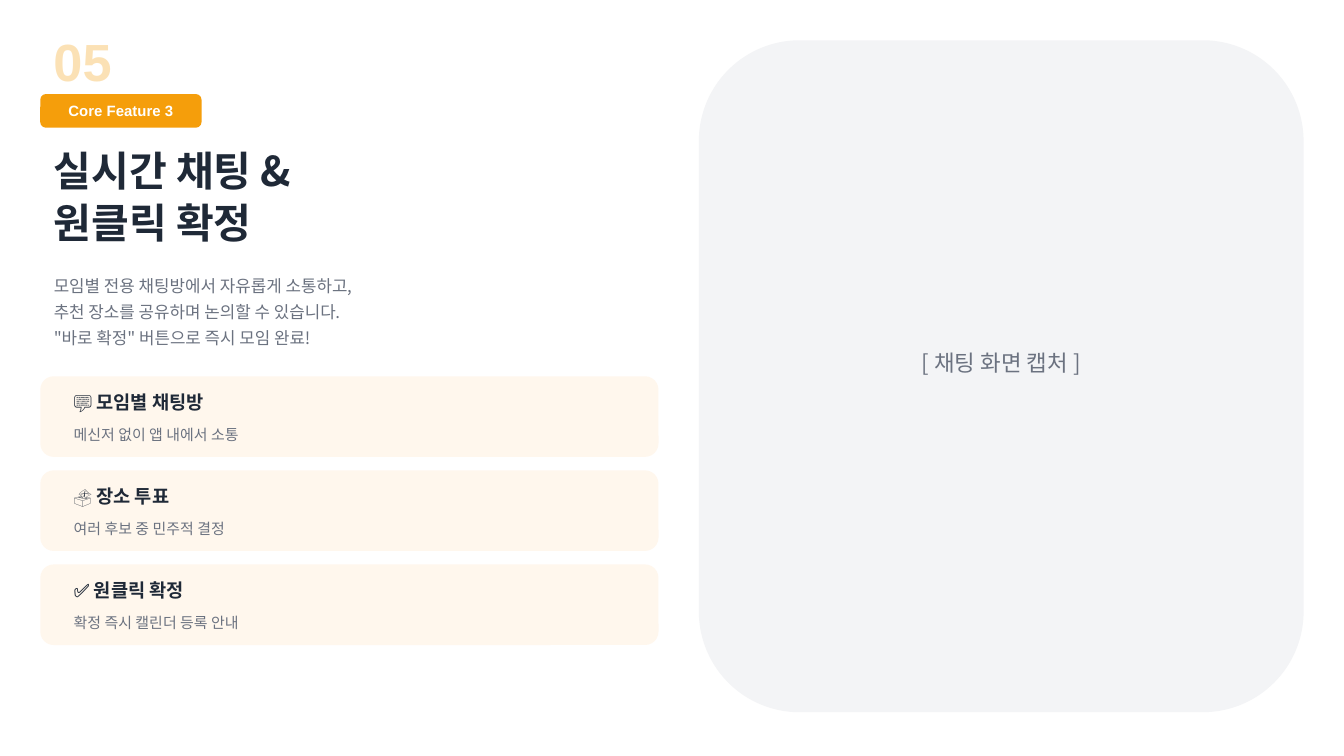
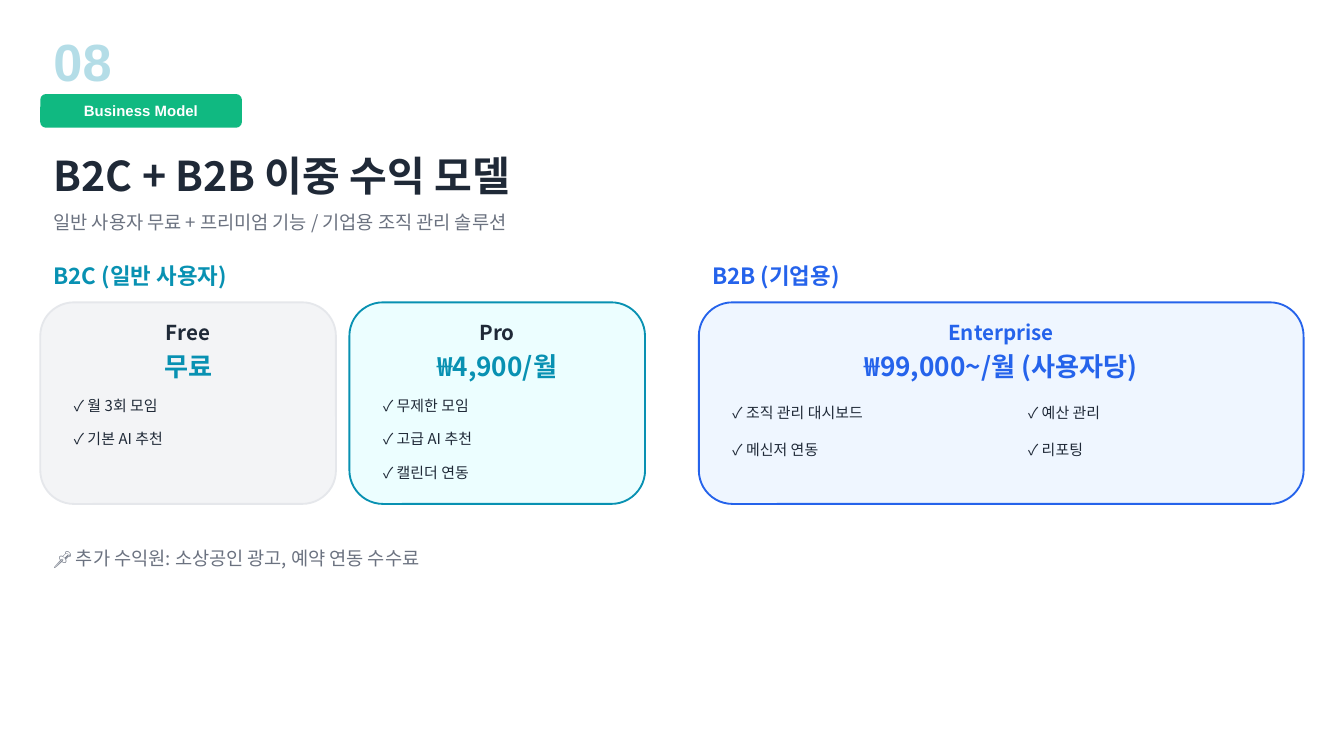
from lxml.etree import SubElement
from pptx import Presentation
from pptx.dml.color import RGBColor
from pptx.enum.shapes import MSO_SHAPE as Form
from pptx.enum.text import MSO_ANCHOR as Anchor, MSO_AUTO_SIZE as Fit, PP_ALIGN as Align
from pptx.oxml.ns import qn
from pptx.util import Inches, Pt

SANS, LATIN = "Noto Sans CJK KR", "Arial"
INK, GREY, WHITE = "1F2937", "6B7280", "FFFFFF"
AMBER, GREEN, TEAL, BLUE = "F59E0B", "10B981", "0891B2", "2563EB"
CREAM, MIST, EDGE, AQUA, SKY = "FFF7ED", "F3F4F6", "E5E7EB", "ECFEFF", "EFF6FF"
LEFT, RIGHT, WIDE = 0.3, 5.2, 4.5
PAD = 0.15


def paint(target, color, alpha=None):
    """Give a fill or a font colour a hex value, with alpha in percent."""
    if hasattr(target, "solid"):
        target.solid()
        target = target.fore_color
    target.rgb = RGBColor.from_string(color)
    if alpha:
        for node in target._xFill.iter(qn("a:srgbClr")):
            SubElement(node, qn("a:alpha"), val=str(alpha * 1000))


def write(box, text, size=10, color=INK, bold=False, font=SANS, align=Align.LEFT,
          anchor=Anchor.MIDDLE, lead=None, after=0, alpha=None):
    """Fill a box with one paragraph per line of text."""
    frame = box.text_frame
    frame.word_wrap = True
    frame.auto_size = Fit.NONE
    frame.vertical_anchor = anchor
    for i, line in enumerate(text.split("\n")):
        para = frame.add_paragraph() if i else frame.paragraphs[0]
        para.alignment = align
        para.space_before, para.space_after = Pt(0), Pt(after)
        if lead:
            para.line_spacing = Pt(lead)
        if box.is_placeholder:
            props = para._p.get_or_add_pPr()
            props.set("marL", "0")
            props.set("indent", "0")
            SubElement(props, qn("a:buNone"))
        run = para.add_run()
        run.text = line
        run.font.size, run.font.bold, run.font.name = Pt(size), bold, font
        paint(run.font.fill, color, alpha)
        SubElement(run._r.get_or_add_rPr(), qn("a:ea"), typeface=font)


class Deck:
    def __init__(self):
        self.file = Presentation()
        self.file.slide_width = Inches(10)
        self.file.slide_height = Inches(10 * 9 / 16)
        self.page = None

    def open(self, layout):
        self.page = self.file.slides.add_slide(self.file.slide_layouts.get_by_name(layout))
        for item in list(self.page.placeholders):
            if item.placeholder_format.idx >= 10:
                item.element.getparent().remove(item.element)

    def text(self, x, y, w, h, text, **form):
        box = self.page.shapes.add_textbox(*map(Inches, (x, y, w, h)))
        write(box, text, **form)

    def hold(self, slot, x, y, w, h, text, **form):
        """Place and fill a placeholder, in front of what is drawn so far."""
        box = next(p for p in self.page.placeholders if p.placeholder_format.idx == slot)
        box.left, box.top, box.width, box.height = map(Inches, (x, y, w, h))
        write(box, text, **form)
        self.page.shapes.element.append(box.element)

    def card(self, x, y, w, h, fill, line=None):
        box = self.page.shapes.add_shape(Form.ROUNDED_RECTANGLE, *map(Inches, (x, y, w, h)))
        box.shadow.inherit = False
        paint(box.fill, fill)
        if line:
            paint(box.line.fill, line)
            box.line.width = Pt(1)
        else:
            box.line.fill.background()
        return box

    def head(self, num, tint, label, fill, wide, title, area, lead=None):
        """Draw the number, the badge and the title."""
        self.text(LEFT, 0.2, 0.8, 0.5, num, size=28, color=tint, bold=True,
                  font=LATIN, alpha=30)
        badge = self.card(LEFT, 0.7, wide, 0.25, fill)
        write(badge, label, size=8, color=WHITE, bold=True, font=LATIN, align=Align.CENTER)
        self.hold(0, LEFT, 1.05, *area, title, size=22, bold=True, lead=lead)

    def point(self, y, name, note):
        """Draw a feature card."""
        self.card(LEFT, y, 4.6, 0.6, CREAM)
        self.text(LEFT + PAD, y + 0.08, 3.5, 0.22, name, bold=True)
        self.text(LEFT + PAD, y + 0.32, 4.3, 0.22, note, size=8, color=GREY)

    def plan(self, x, w, name, price, fill, line, tone, ink=INK):
        """Draw a price card."""
        self.card(x, 2.25, w, 1.5, fill, line)
        self.text(x, 2.35, w, 0.25, name, size=11, color=ink, bold=True, align=Align.CENTER)
        self.text(x, 2.6, w, 0.25, price, size=14, color=tone, bold=True, align=Align.CENTER)

    def perks(self, slot, x, y, w, items, after):
        """List what a plan holds, in a placeholder."""
        text = "\n".join(f"✓ {item}" for item in items)
        self.hold(slot, x + PAD, y, w, 0.8, text, size=8, anchor=Anchor.TOP, after=after)


def chat(deck):
    deck.open("Title and Content")
    deck.head("05", AMBER, "Core Feature 3", AMBER, 1.2,
              "실시간 채팅 &\n원클릭 확정", (WIDE, 0.8), lead=28)
    deck.hold(1, LEFT, 1.9, WIDE, 0.8,
              "모임별 전용 채팅방에서 자유롭게 소통하고,\n"
              "추천 장소를 공유하며 논의할 수 있습니다.\n"
              '"바로 확정" 버튼으로 즉시 모임 완료!', size=9, color=GREY, lead=14)
    points = [("💬 모임별 채팅방", "메신저 없이 앱 내에서 소통"),
              ("🗳️ 장소 투표", "여러 후보 중 민주적 결정"),
              ("✅ 원클릭 확정", "확정 즉시 캘린더 등록 안내")]
    for i, (name, note) in enumerate(points):
        deck.point(2.8 + 0.7 * i, name, note)
    deck.card(RIGHT, 0.3, WIDE, 5, MIST)
    deck.text(RIGHT, 2.5, WIDE, 0.4, "[ 채팅 화면 캡처 ]", size=12, color=GREY,
              align=Align.CENTER)


def model(deck):
    deck.open("Comparison")
    deck.head("08", TEAL, "Business Model", GREEN, 1.5, "B2C + B2B 이중 수익 모델", (9, 0.5))
    deck.text(LEFT, 1.5, 9, 0.3, "일반 사용자 무료 + 프리미엄 기능 / 기업용 조직 관리 솔루션",
              color=GREY)
    for x, name, tone in ((LEFT, "B2C (일반 사용자)", TEAL), (RIGHT, "B2B (기업용)", BLUE)):
        deck.text(x, 1.9, WIDE, 0.3, name, size=12, color=tone, bold=True)

    wide, pro = 2.2, LEFT + 2.3
    deck.plan(LEFT, wide, "Free", "무료", MIST, EDGE, TEAL)
    deck.plan(pro, wide, "Pro", "₩4,900/월", AQUA, TEAL, TEAL)
    deck.plan(RIGHT, WIDE, "Enterprise", "₩99,000~/월 (사용자당)", SKY, BLUE, BLUE, BLUE)
    deck.perks(1, LEFT, 2.9, 1.9, ["월 3회 모임", "기본 AI 추천"], 8.3)
    deck.perks(2, pro, 2.9, 1.9, ["무제한 모임", "고급 AI 추천", "캘린더 연동"], 8.3)
    deck.perks(3, RIGHT, 2.95, 2, ["조직 관리 대시보드", "메신저 연동"], 10.5)
    deck.perks(4, RIGHT + wide, 2.95, 2, ["예산 관리", "리포팅"], 10.5)
    deck.text(LEFT, 4, 9, 0.3, "📌 추가 수익원: 소상공인 광고, 예약 연동 수수료", color=GREY)


def main():
    deck = Deck()
    chat(deck)
    model(deck)
    deck.file.save("out.pptx")


if __name__ == "__main__":
    main()
